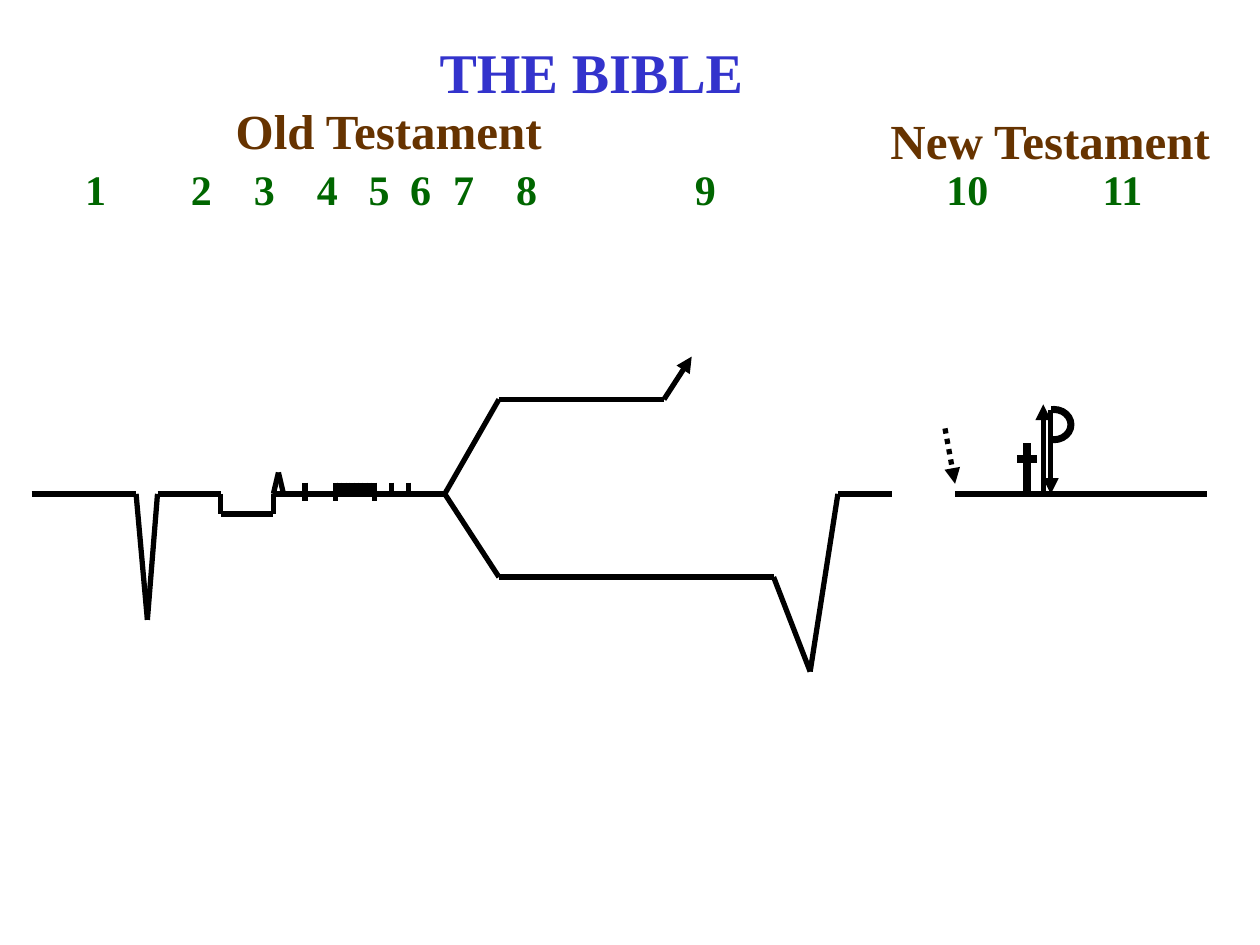
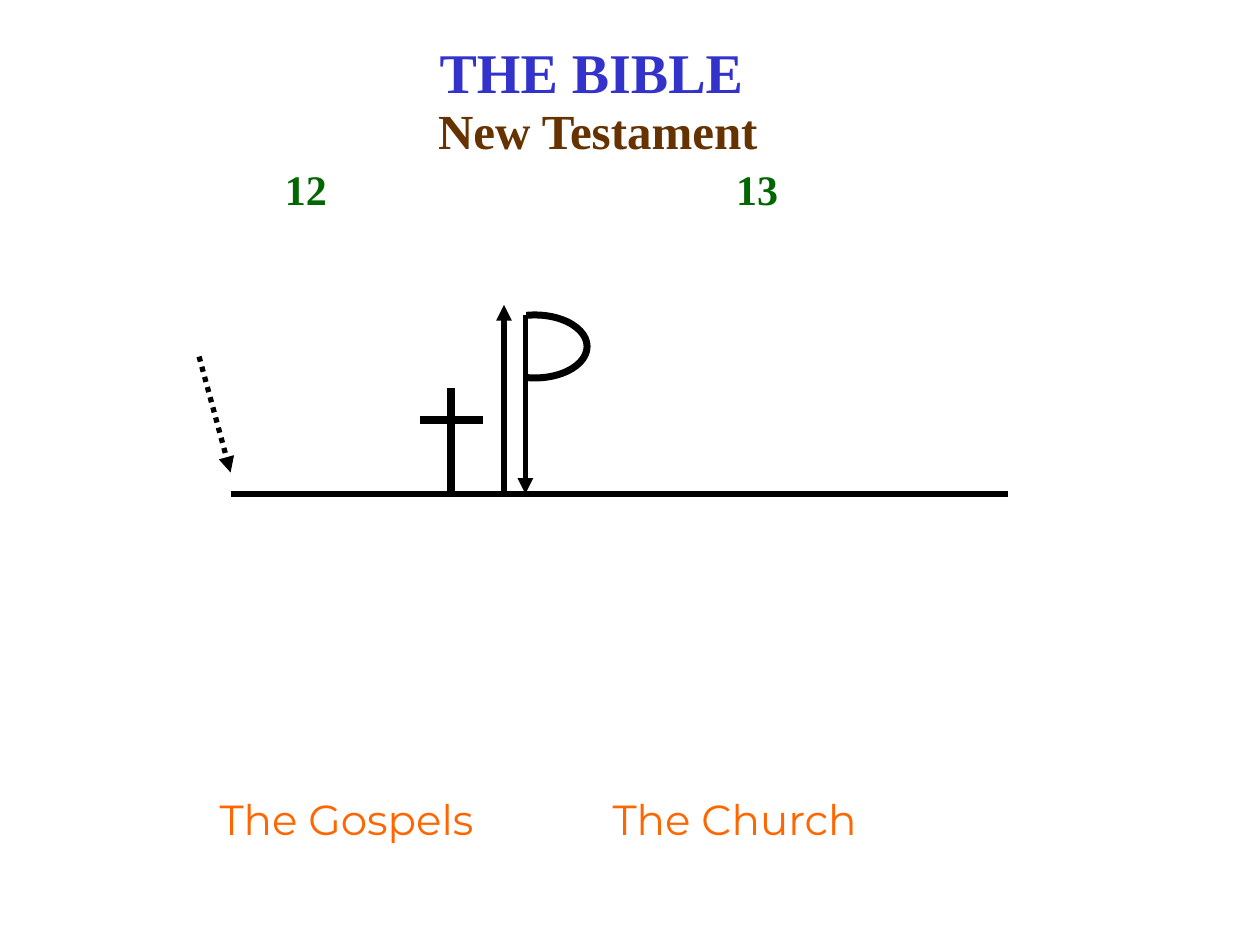
from dataclasses import dataclass
from typing import Optional

from pptx import Presentation
from pptx.dml.color import RGBColor
from pptx.enum.dml import MSO_LINE
from pptx.enum.shapes import MSO_CONNECTOR, MSO_SHAPE
from pptx.enum.text import MSO_ANCHOR, MSO_AUTO_SIZE, PP_ALIGN
from pptx.oxml.ns import qn
from pptx.oxml.xmlchemy import OxmlElement
from pptx.util import Emu, Pt

PX = 9144  # 100 px to the inch
BASELINE = 392
INSET = 10
Point = tuple[int, int]


@dataclass(frozen=True)
class TextStyle:
    font: str
    size: int
    color: str
    bold: bool = True


@dataclass(frozen=True)
class Theme:
    title: TextStyle = TextStyle("Times New Roman", 32, "3333CC")
    testament: TextStyle = TextStyle("Times New Roman", 28, "663300")
    number: TextStyle = TextStyle("Times New Roman", 24, "006600")
    caption: TextStyle = TextStyle("Montserrat", 24, "FF6600", bold=False)
    ink: str = "000000"
    paper: str = "FFFFFF"
    thin: float = 0.75
    path_line: float = 3
    loop_line: float = 4
    cross_line: float = 4.5


THEME = Theme()


@dataclass(frozen=True)
class Box:
    left: int
    top: int
    width: int
    height: int

    def emu(self) -> list[Emu]:
        return [px(n) for n in (self.left, self.top, self.width, self.height)]


@dataclass(frozen=True)
class Label:
    text: str
    box: Box
    style: TextStyle


@dataclass(frozen=True)
class NumberRow:
    box: Box
    centers: dict[int, int]


@dataclass(frozen=True)
class CrossFrame:
    """Places the drawing with the cross: left end of its baseline and scale."""
    left: int
    scale_x: float = 1
    scale_y: float = 1

    def point(self, along: int, above: int) -> Point:
        return (round(self.left + along * self.scale_x),
                round(BASELINE - above * self.scale_y))

    def box(self, along: int, above: int, width: int, height: int) -> Box:
        return Box(*self.point(along, above),
                   round(width * self.scale_x), round(height * self.scale_y))


def px(n: float) -> Emu:
    return Emu(round(n * PX))


def format_text(frame, style: TextStyle, align=PP_ALIGN.CENTER) -> None:
    frame.word_wrap = True
    frame.auto_size = MSO_AUTO_SIZE.NONE
    frame.vertical_anchor = MSO_ANCHOR.TOP
    paragraph = frame.paragraphs[0]
    paragraph.alignment = align
    for run in paragraph.runs:
        run.font.name = style.font
        run.font.size = Pt(style.size)
        run.font.bold = style.bold
        run.font.color.rgb = RGBColor.from_string(style.color)


def set_title(slide, text: str) -> None:
    title = slide.shapes.title
    title.left, title.top, title.width, title.height = Box(228, 25, 483, 64).emu()
    title.text_frame.text = text
    format_text(title.text_frame, THEME.title)


def add_label(slide, label: Label) -> None:
    frame = slide.shapes.add_textbox(*label.box.emu()).text_frame
    frame.text = label.text
    format_text(frame, label.style)


def add_numbers(slide, row: NumberRow) -> None:
    """Write the numbers on one line, each centred on a tab stop."""
    frame = slide.shapes.add_textbox(*row.box.emu()).text_frame
    paragraph = frame.paragraphs[0]
    stops = OxmlElement("a:tabLst")
    for center in row.centers.values():
        stop = OxmlElement("a:tab")
        stop.set("pos", str(px(center - row.box.left - INSET)))
        stop.set("algn", "ctr")
        stops.append(stop)
    paragraph._p.get_or_add_pPr().append(stops)
    paragraph.text = "".join(f"\t{number}" for number in row.centers)
    format_text(frame, THEME.number, PP_ALIGN.LEFT)


def add_stroke(slide, start: Point, end: Point, width: float = THEME.path_line,
               arrow: bool = False, dash: Optional[MSO_LINE] = None) -> None:
    stroke = slide.shapes.add_connector(
        MSO_CONNECTOR.STRAIGHT, *(px(n) for n in (*start, *end)))
    stroke.line.color.rgb = RGBColor.from_string(THEME.ink)
    stroke.line.width = Pt(width)
    if dash is not None:
        stroke.line.dash_style = dash
    properties = stroke._element.spPr
    if arrow:
        tail = OxmlElement("a:tailEnd")
        tail.set("type", "triangle")
        properties.find(qn("a:ln")).append(tail)
    properties.append(OxmlElement("a:effectLst"))


def add_path(slide, *points: Point) -> None:
    for start, end in zip(points, points[1:]):
        add_stroke(slide, start, end)


def add_outline(slide, kind: MSO_SHAPE, box: Box, line: str, width: float,
                fill: Optional[str] = None) -> None:
    shape = slide.shapes.add_shape(kind, *box.emu())
    shape.shadow.inherit = False
    if fill is None:
        shape.fill.background()
    else:
        shape.fill.solid()
        shape.fill.fore_color.rgb = RGBColor.from_string(fill)
    shape.line.color.rgb = RGBColor.from_string(line)
    shape.line.width = Pt(width)


def draw_ticked_path(slide) -> None:
    add_path(slide, (25, BASELINE), (108, BASELINE), (117, 492), (125, BASELINE),
             (175, BASELINE), (175, 408), (217, 408), (217, BASELINE), (342, BASELINE))
    add_path(slide, (217, BASELINE), (221, 375), (225, BASELINE))
    long_ticks = [(x, 398) for x in (242, 266, 297)]
    dense_ticks = [(round(266 + 3.4 * i), 391) for i in range(9)]
    short_ticks = [(311, 391), (324, 391)]
    for x, bottom in long_ticks + dense_ticks + short_ticks:
        add_stroke(slide, (x, 383), (x, bottom))


def draw_forked_path(slide) -> None:
    fork = (353, BASELINE)
    add_path(slide, fork, (396, 317), (527, 317))
    add_stroke(slide, (527, 317), (549, 283), arrow=True)
    add_path(slide, (317, BASELINE), fork, (396, 458), (614, 458), (643, 533),
             (665, BASELINE), (708, BASELINE))


def draw_cross_and_arrows(slide, frame: CrossFrame) -> None:
    at = frame.point
    add_outline(slide, MSO_SHAPE.OVAL, frame.box(200, 142, 83, 50),
                THEME.ink, THEME.loop_line)
    add_outline(slide, MSO_SHAPE.RECTANGLE, frame.box(184, 159, 50, 83),
                THEME.paper, THEME.thin, fill=THEME.paper)
    add_stroke(slide, at(0, 0), at(617, 0))
    add_stroke(slide, at(-25, 109), at(0, 17), arrow=True, dash=MSO_LINE.ROUND_DOT)
    add_stroke(slide, at(175, 84), at(175, 0), THEME.cross_line)
    add_stroke(slide, at(150, 59), at(200, 59), THEME.cross_line)
    add_stroke(slide, at(217, 0), at(217, 150), arrow=True)
    add_stroke(slide, at(234, 142), at(234, 0), arrow=True)


def add_bible_slide(deck, row: NumberRow, labels: list[Label], cross: CrossFrame):
    slide = deck.slides.add_slide(deck.slide_layouts[5])
    set_title(slide, "THE BIBLE")
    add_numbers(slide, row)
    draw_cross_and_arrows(slide, cross)
    for label in labels:
        add_label(slide, label)
    return slide


def main() -> None:
    deck = Presentation()
    deck.slide_width, deck.slide_height = px(1000), px(750)

    both_testaments = add_bible_slide(
        deck,
        NumberRow(Box(42, 125, 908, 50),
                  {1: 76, 2: 160, 3: 210, 4: 260, 5: 301, 6: 334, 7: 368,
                   8: 418, 9: 560, 10: 768, 11: 891}),
        [Label("Old Testament", Box(142, 75, 333, 57), THEME.testament),
         Label("New Testament", Box(667, 83, 333, 57), THEME.testament)],
        CrossFrame(758, 0.324, 0.473))
    draw_ticked_path(both_testaments)
    draw_forked_path(both_testaments)

    add_bible_slide(
        deck,
        NumberRow(Box(83, 125, 725, 50), {12: 243, 13: 601}),
        [Label("New Testament", Box(308, 75, 333, 57), THEME.testament),
         Label("The Gospels", Box(125, 625, 300, 50), THEME.caption),
         Label("The Church", Box(433, 625, 300, 50), THEME.caption)],
        CrossFrame(183))

    deck.save("out.pptx")


if __name__ == "__main__":
    main()
